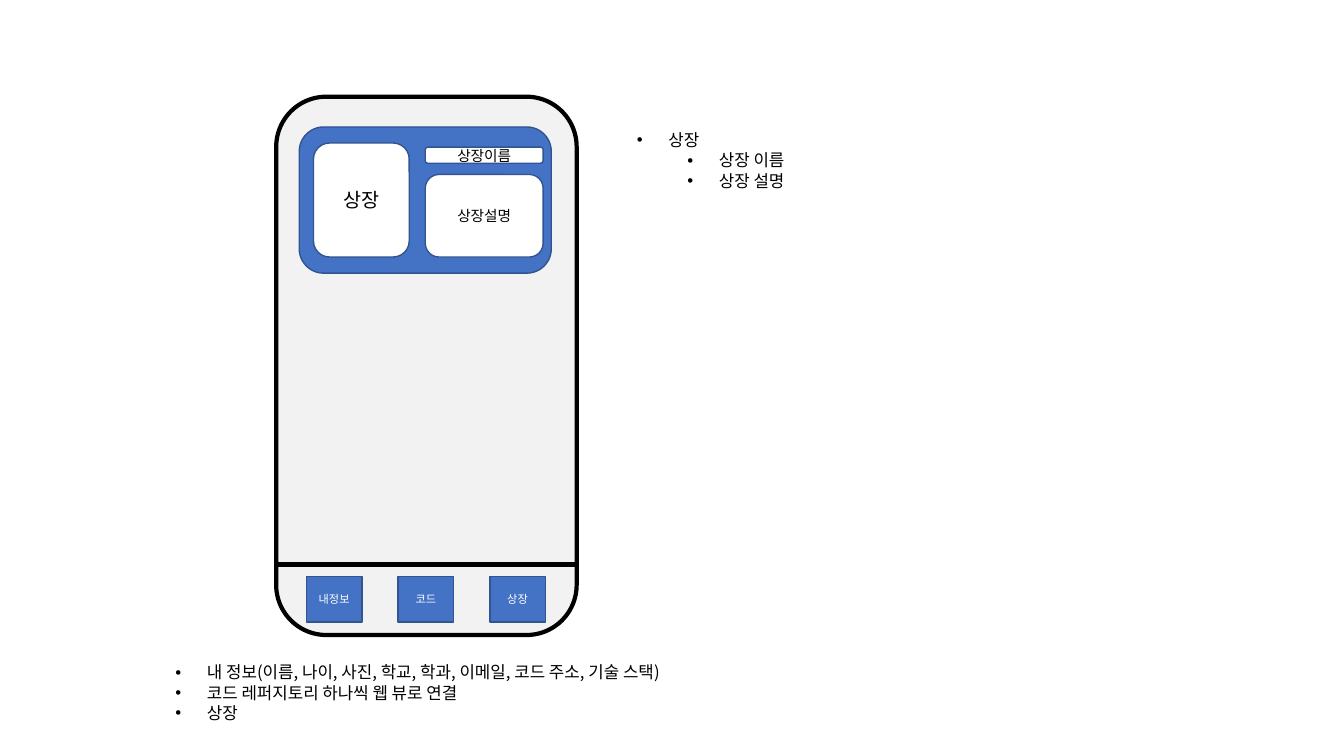
from lxml.etree import SubElement
from pptx import Presentation
from pptx.dml.color import RGBColor
from pptx.enum.shapes import MSO_CONNECTOR as Connector, MSO_SHAPE as Shape
from pptx.enum.text import MSO_ANCHOR as Anchor, MSO_AUTO_SIZE as AutoSize, PP_ALIGN as Align
from pptx.oxml.ns import qn
from pptx.util import Pt


def color(hex_string):
    return RGBColor.from_string(hex_string)


class Sketch:
    """Style of the wireframe and the slide it is drawn on."""

    FONT = "Noto Sans CJK KR"
    BLUE, EDGE, SCREEN = "4472C4", "325491", "F2F2F2"
    BLACK, WHITE = "000000", "FFFFFF"
    LIST_SIZE, LIST_PITCH = 12, 14.4
    HANG, LEVEL_STEP = 22.5, 36

    def __init__(self, slide):
        self.slide = slide
        self.phone = slide.shapes.add_group_shape()

    def format_runs(self, paragraph, size, hex_string):
        for run in paragraph.runs:
            run.font.name = self.FONT
            run.font.size = Pt(size)
            run.font.color.rgb = color(hex_string)
            east_asian = SubElement(run.font._element, qn("a:ea"))
            east_asian.set("typeface", self.FONT)

    def box(self, kind, left, top, width, height, fill, text="", size=8,
            text_color=BLACK, edge=EDGE, weight=1):
        shape = self.phone.shapes.add_shape(
            kind, Pt(left), Pt(top), Pt(width), Pt(height))
        shape.shadow.inherit = False
        shape.fill.solid()
        shape.fill.fore_color.rgb = color(fill)
        shape.line.color.rgb = color(edge)
        shape.line.width = Pt(weight)
        if text:
            frame = shape.text_frame
            frame.text = text
            frame.vertical_anchor = Anchor.MIDDLE
            frame.paragraphs[0].alignment = Align.CENTER
            self.format_runs(frame.paragraphs[0], size, text_color)

    def divider(self, left, right, top):
        line = self.phone.shapes.add_connector(
            Connector.STRAIGHT, Pt(left), Pt(top), Pt(right), Pt(top))
        line.line.color.rgb = color(self.BLACK)
        line.line.width = Pt(3)
        SubElement(line._element.spPr, qn("a:effectLst"))

    def bullets(self, placeholder, left, top, width, height, items):
        placeholder.left, placeholder.top = Pt(left), Pt(top)
        placeholder.width, placeholder.height = Pt(width), Pt(height)
        frame = placeholder.text_frame
        frame.text = "\n".join(text for level, text in items)
        frame.word_wrap = True
        frame.auto_size = AutoSize.NONE
        frame.vertical_anchor = Anchor.TOP
        for paragraph, (level, text) in zip(frame.paragraphs, items):
            paragraph.level = level
            paragraph.alignment = Align.LEFT
            paragraph.line_spacing = Pt(self.LIST_PITCH)
            paragraph.space_before = paragraph.space_after = Pt(0)
            self.format_runs(paragraph, self.LIST_SIZE, self.BLACK)
            properties = paragraph._p.get_or_add_pPr()
            properties.set("marL", str(Pt(self.HANG + level * self.LEVEL_STEP)))
            properties.set("indent", str(-Pt(self.HANG)))
            SubElement(properties, qn("a:buFont")).set("typeface", "Arial")
            SubElement(properties, qn("a:buChar")).set("char", "•")


def main():
    presentation = Presentation()
    presentation.slide_width, presentation.slide_height = Pt(960), Pt(540)
    slide = presentation.slides.add_slide(presentation.slide_layouts[3])
    title = slide.shapes.title
    title._element.getparent().remove(title._element)
    screen_list, detail_list = slide.placeholders
    sketch = Sketch(slide)

    # Notes on the screens and on the award card
    sketch.bullets(screen_list, 118.1, 469.4, 396.7, 51.1, [
        (0, "내 정보(이름, 나이, 사진, 학교, 학과, 이메일, 코드 주소, 기술 스택)"),
        (0, "코드 레퍼지토리 하나씩 웹 뷰로 연결"),
        (0, "상장"),
    ])
    sketch.bullets(detail_list, 447.8, 89.3, 126.7, 51.1, [
        (0, "상장"),
        (1, "상장 이름"),
        (1, "상장 설명"),
    ])

    # Phone body
    sketch.box(Shape.ROUNDED_RECTANGLE, 197.3, 69.1, 214.6, 384.5,
               sketch.SCREEN, edge=sketch.BLACK, weight=3)
    sketch.divider(197.3, 411.1, 403.2)

    # Tab bar
    for index, label in enumerate(["내정보", "코드", "상장"]):
        sketch.box(Shape.RECTANGLE, 218.9 + index * 65.5, 411.8, 39.6, 32.4,
                   sketch.BLUE, label, 8, sketch.WHITE)

    # Award card
    sketch.box(Shape.ROUNDED_RECTANGLE, 213.8, 90.7, 180, 104.4, sketch.BLUE)
    for left, top, width, height, label, size in [
        (223.9, 102.2, 68.4, 81.4, "상장", 14),
        (303.8, 105.1, 84.2, 11.5, "상장이름", 10.5),
        (303.8, 124.6, 84.2, 59, "상장설명", 10.5),
    ]:
        sketch.box(Shape.ROUNDED_RECTANGLE, left, top, width, height,
                   sketch.WHITE, label, size)

    presentation.save("out.pptx")


if __name__ == "__main__":
    main()
